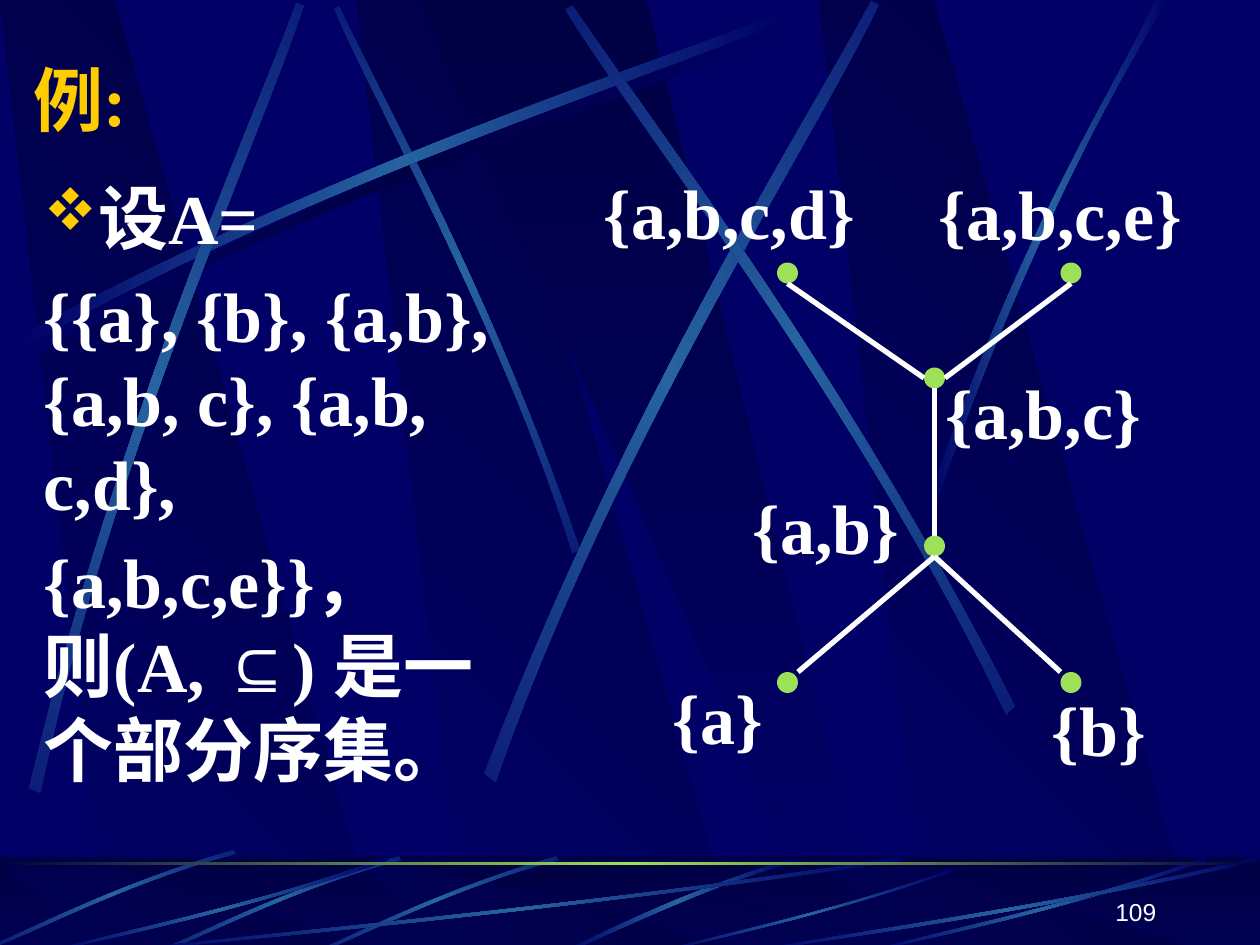
from dataclasses import dataclass
from math import cos, radians, sin

from lxml import etree
from pptx import Presentation
from pptx.dml.color import RGBColor
from pptx.enum.shapes import MSO_CONNECTOR, MSO_SHAPE
from pptx.enum.text import MSO_ANCHOR, PP_ALIGN
from pptx.oxml.ns import qn
from pptx.util import Inches, Pt

RECTANGLE, OVAL = MSO_SHAPE.RECTANGLE, MSO_SHAPE.OVAL
STRAIGHT = MSO_CONNECTOR.STRAIGHT
TOP, MIDDLE, BOTTOM = MSO_ANCHOR.TOP, MSO_ANCHOR.MIDDLE, MSO_ANCHOR.BOTTOM
LEFT, RIGHT = PP_ALIGN.LEFT, PP_ALIGN.RIGHT


@dataclass(frozen=True)
class Theme:
    navy: str = "000066"
    dark: str = "000044"
    ray: str = "2663A0"
    green: str = "9CE157"
    gold: str = "FFCC00"
    white: str = "FFFFFF"
    serif: str = "Times New Roman"
    sans: str = "Arial"
    chinese: str = "Noto Sans CJK SC"
    large: int = 40
    small: int = 14


theme = Theme()
presentation = Presentation()
presentation.slide_width, presentation.slide_height = Inches(10), Inches(7.5)
slide = presentation.slides.add_slide(presentation.slide_layouts[6])
slide.background.fill.solid()
slide.background.fill.fore_color.rgb = RGBColor.from_string(theme.navy)
shapes = slide.shapes
UNIT = presentation.slide_width // 10    # backdrop grid: 10 columns
CELL = presentation.slide_width // 120   # diagram grid: 120 columns


def paint(shape, colours, angle=0):
    """Fill with evenly spaced gradient colours (angle clockwise), without line or shadow."""
    shape.shadow.inherit = False
    shape.line.fill.background()
    shape.fill.gradient()
    gradient = shape._element.spPr.find(qn("a:gradFill"))
    gradient.find(qn("a:lin")).set("ang", str(angle * 60000))
    stops = gradient.find(qn("a:gsLst"))
    for stop in list(stops):
        stops.remove(stop)
    for index, colour in enumerate(colours):
        position = str(100000 * index // (len(colours) - 1))
        stop = etree.SubElement(stops, qn("a:gs"), pos=position)
        etree.SubElement(stop, qn("a:srgbClr"), val=colour)


def style(paragraph, size=theme.large, colour=theme.white, name=theme.serif, bold=True):
    font = paragraph.font
    font.size, font.bold, font.name = Pt(size), bold, name
    font.color.rgb = RGBColor.from_string(colour)
    defaults = paragraph._p.pPr.find(qn("a:defRPr"))
    etree.SubElement(defaults, qn("a:ea"), typeface=theme.chinese)


# Backdrop: wide panels and curved rays, first on the wall, then on the floor
GLOW = (theme.navy, theme.ray, theme.navy)
SHADE = (theme.navy, theme.dark, theme.navy)
STILL = [(0, 0)]
long_ray = [(0.14, 2.67), (2.78, 1.25), (5.18, 0.51), (6.2, 0.1),
            (6.23, 0.16), (5.22, 0.61), (2.48, 1.43), (0.17, 2.77)]
# Each ray: rotation, its centre, colours, offsets, then the curves of both edges
wall_rays = [
    (0, (0, 0), SHADE, [(0.06, 0.08)], long_ray),
    (45, (3.62, 2.22), GLOW, STILL,
     [(4.6, 4.36), (3.91, 2.34), (3.02, 0.77), (2.69, 0.05),
      (2.65, 0.07), (2.95, 0.79), (3.98, 2.58), (4.54, 4.39)]),
    (0, (0, 0), GLOW, STILL, long_ray),
    (311.7, (1.33, 3.16), GLOW, STILL,
     [(0.23, 6.25), (0.93, 3.34), (1.97, 1.05), (2.35, 0.02),
      (2.41, 0.04), (2.07, 1.09), (0.86, 3.68), (0.32, 6.29)]),
    (321.6, (5.43, 3.1), GLOW, STILL,
     [(3.85, 6.14), (4.98, 3.2), (6.38, 1.02), (6.92, 0.01),
      (6.98, 0.04), (6.49, 1.08), (4.86, 3.55), (3.94, 6.21)]),
    (34.7, (6.27, 2.86), GLOW, STILL,
     [(8.06, 5.6), (6.7, 2.93), (5.16, 0.95), (4.55, 0.04),
      (4.49, 0.07), (5.07, 1.01), (6.85, 3.25), (7.99, 5.67)]),
    (0, (0, 0), GLOW, STILL,
     [(7.38, 3.94), (8.14, 1.73), (8.88, 0.66), (9.17, 0),
      (9.27, 0), (8.36, 1.45), (7.69, 3.22), (7.44, 3.97)]),
]
floor_rays = [
    (0, (0, 0), GLOW, STILL,
     [(6.27, 6.82), (5.37, 7.09), (4.77, 7.42), (4.48, 7.54),
      (4.53, 7.55), (4.9, 7.38), (5.71, 7), (6.28, 6.85)]),
    (315, (3.5, 7.17), GLOW, [(0, 0), (-1.25, 0), (-2.56, -0.05)],
     [(4.42, 6.8), (3.55, 7.05), (2.87, 7.4), (2.56, 7.53),
      (2.57, 7.55), (2.88, 7.43), (3.65, 7.03), (4.44, 6.83)]),
    (0, (0, 0), GLOW, STILL,
     [(7.17, 6.83), (4.49, 7.23), (2.06, 7.44), (1.03, 7.55),
      (1, 7.54), (2.02, 7.41), (4.8, 7.18), (7.14, 6.8)]),
    (0, (0, 0), GLOW, [(0, 0), (6.5, 0)],
     [(3.08, 6.83), (1.93, 7.23), (0.88, 7.44), (0.43, 7.55),
      (0.42, 7.54), (0.86, 7.41), (2.06, 7.18), (3.07, 6.8)]),
    (0, (0, 0), GLOW, STILL,
     [(7.58, 6.91), (6.58, 7.26), (5.67, 7.45), (5.28, 7.55),
      (5.27, 7.54), (5.65, 7.43), (6.69, 7.22), (7.57, 6.89)]),
    (0, (0, 0), GLOW, STILL,
     [(10, 6.83), (8.27, 7.23), (6.69, 7.44), (6.02, 7.55),
      (6, 7.54), (6.66, 7.41), (8.46, 7.18), (9.98, 6.8)]),
]
FLOOR = (0, round(6.8 * UNIT), 10 * UNIT, round(0.75 * UNIT))
for top, bottom, rays in ((0, 7.52, wall_rays), (6.88, 7.55, floor_rays)):
    on_floor = rays is floor_rays
    if on_floor:
        paint(shapes.add_shape(RECTANGLE, *FLOOR), (theme.dark, theme.navy), 90)

    outlines = [([(x + 0.86, bottom), (x + 3.02, bottom), (x + 0.91, top), (x, top)],
                 (theme.navy, theme.dark), 315, 0) for x in (2.83, 0, 6.5)]
    outlines.append(([(3.33, top), (6.58, bottom), (6.94, bottom), (5.13, top)],
                     (theme.dark, theme.navy), 90, 0))
    panel_count = len(outlines)
    for rotation, (centre_x, centre_y), colours, offsets, curve in rays:
        cosine, sine = cos(radians(rotation)), sin(radians(rotation))
        for shift_x, shift_y in offsets:
            level = [(centre_x + shift_x + (x - centre_x) * cosine + (y - centre_y) * sine,
                      centre_y + shift_y + (y - centre_y) * cosine - (x - centre_x) * sine)
                     for x, y in curve]
            outlines.append((level, colours, 0, rotation))

    for index, (points, colours, angle, rotation) in enumerate(outlines):
        if on_floor and index == panel_count:
            veil = shapes.add_shape(RECTANGLE, *FLOOR)
            veil.shadow.inherit = False
            veil.line.fill.background()
            veil.fill.solid()
            veil.fill.fore_color.rgb = RGBColor.from_string(theme.dark)
            veil_colour = veil._element.spPr.find(qn("a:solidFill"))[0]
            etree.SubElement(veil_colour, qn("a:alpha"), val="50000")
        corners = [(round(x * UNIT), round(y * UNIT)) for x, y in points]
        builder = shapes.build_freeform(*corners[0], scale=1.0)
        builder.add_line_segments(corners[1:], close=True)
        outline = builder.convert_to_shape()
        if index >= panel_count:
            segments = list(outline._element.spPr.iter(qn("a:lnTo")))
            for edge in (segments[:3], segments[4:7]):
                bend = etree.Element(qn("a:cubicBezTo"))
                edge[0].addprevious(bend)
                for segment in edge:
                    bend.append(segment[0])
                    segment.getparent().remove(segment)
        outline.rotation = rotation
        paint(outline, colours, angle)

horizon = shapes.add_shape(RECTANGLE, 0, round(6.84 * UNIT), 10 * UNIT, round(0.3 * CELL))
paint(horizon, (theme.dark, theme.green, theme.dark))

# Definition of the set
body = shapes.add_textbox(3 * CELL, 16 * CELL, 47 * CELL, 61 * CELL).text_frame
body.word_wrap = True
body_texts = ("设A=", "{{a}, {b}, {a,b}, {a,b, c}, {a,b, c,d},", "{a,b,c,e}}， \v则(A, ⊆) ")
for index, text in enumerate(body_texts):
    paragraph = body.add_paragraph() if index else body.paragraphs[0]
    paragraph.text = text
    paragraph.line_spacing = Pt(48)
    if index:
        paragraph.space_before = Pt(8)
    else:
        properties = paragraph._p.get_or_add_pPr()
        properties.set("marL", str(5 * CELL))
        properties.set("indent", str(-5 * CELL))
        bullet_colour = etree.SubElement(properties, qn("a:buClr"))
        etree.SubElement(bullet_colour, qn("a:srgbClr"), val=theme.gold)
        etree.SubElement(properties, qn("a:buSzPct"), val="85000")
        etree.SubElement(properties, qn("a:buFont"), typeface="Wingdings", charset="2")
        etree.SubElement(properties, qn("a:buChar"), char="v")
    style(paragraph)
conclusion = paragraph.add_run()
conclusion.text = "是一个部分序集。"
conclusion.font.name = theme.chinese

# Hasse diagram, in cells
for x, y in ((89, 36), (89, 52), (75, 26), (102, 26), (75, 65), (102, 65)):
    node = shapes.add_shape(OVAL, (x - 1) * CELL, (y - 1) * CELL, 2 * CELL, 2 * CELL)
    node.shadow.inherit = False
    node.line.fill.background()
    node.fill.solid()
    node.fill.fore_color.rgb = RGBColor.from_string(theme.green)

for ends in ((89, 37, 89, 51), (75, 27, 88, 36), (102, 27, 90, 36),
             (89, 53, 76, 64), (89, 53, 101, 64)):
    link = shapes.add_connector(STRAIGHT, *(end * CELL for end in ends))
    link.line.width = Pt(3)
    link.line.color.rgb = RGBColor.from_string(theme.white)
    etree.SubElement(link._element.spPr, qn("a:effectLst"))

# Single-line texts: title, set labels and page number, in cells
labels = (("{a}", 62.9, 62.1, 12.1), ("{b}", 99, 63.2, 12.6), ("{a,b}", 70.5, 44, 17.5),
          ("{a,b,c}", 88.9, 33, 22.2), ("{a,b,c,d}", 56.3, 14, 27.6),
          ("{a,b,c,e}", 88.2, 14.1, 26.8))
lines = [("例:", (2, 4.8, 114, 9.2), MIDDLE, LEFT, 1, {"colour": theme.gold}),
         ("109", (86.4, 82.8, 24.9, 6), BOTTOM, RIGHT, 1,
          {"size": theme.small, "name": theme.sans, "bold": False})]
lines += [(text, (x, y, width, 10.8), TOP, LEFT, 1.2, {}) for text, x, y, width in labels]
for text, box, anchor, alignment, spacing, look in lines:
    frame = shapes.add_textbox(*(round(length * CELL) for length in box)).text_frame
    frame.word_wrap = spacing == 1
    frame.vertical_anchor = anchor
    paragraph = frame.paragraphs[0]
    paragraph.text = text
    paragraph.alignment = alignment
    paragraph.line_spacing = spacing
    style(paragraph, **look)

presentation.save("out.pptx")
